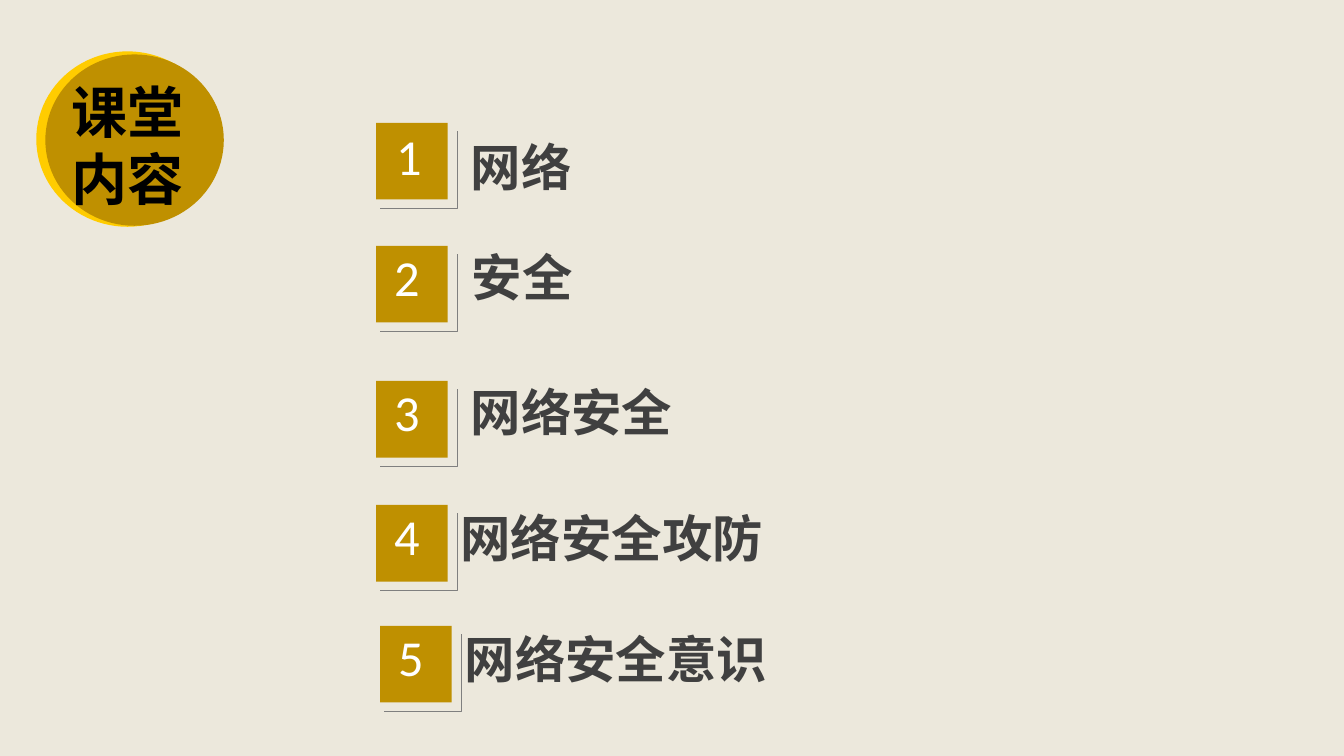
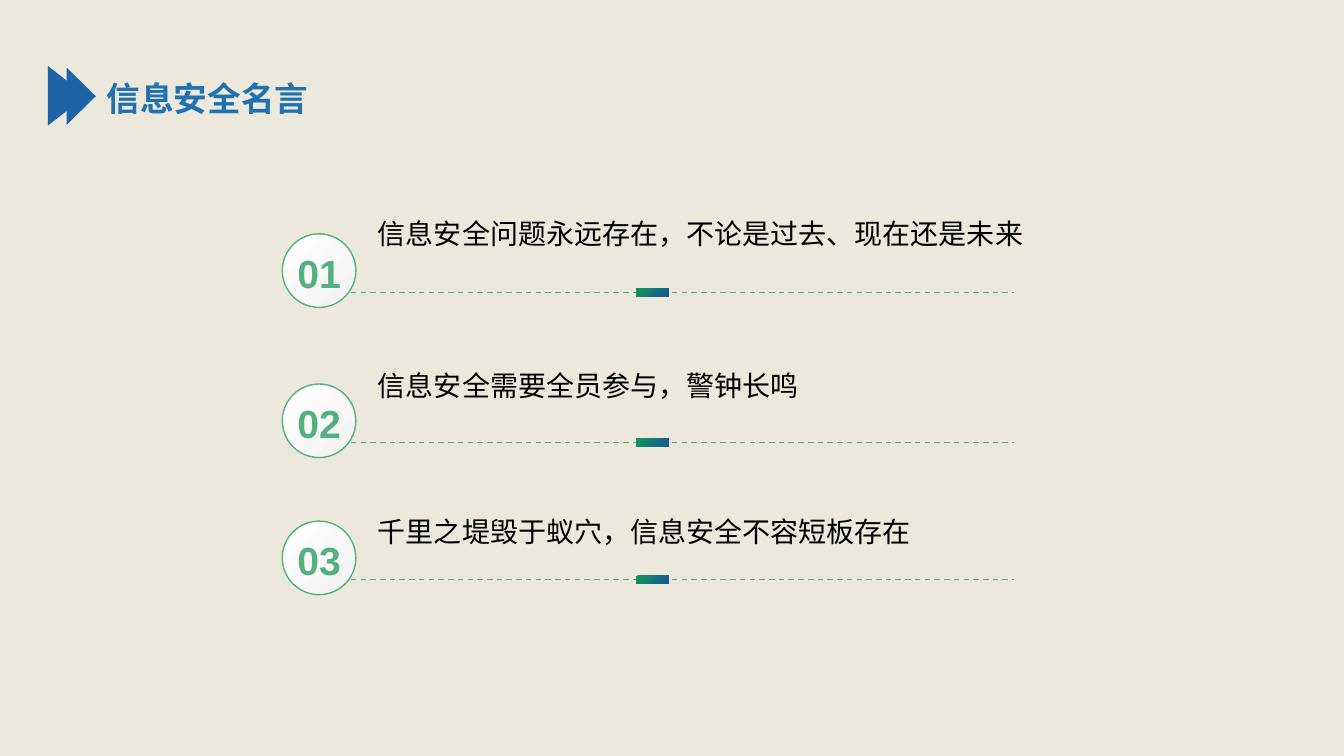
from lxml import etree
from pptx import Presentation
from pptx.dml.color import RGBColor
from pptx.enum.dml import MSO_LINE
from pptx.enum.shapes import MSO_CONNECTOR, MSO_SHAPE
from pptx.enum.text import MSO_ANCHOR, PP_ALIGN
from pptx.oxml.ns import qn
from pptx.util import Inches, Pt

RECTANGLE, ELLIPSE = MSO_SHAPE.RECTANGLE, MSO_SHAPE.OVAL
TRIANGLE = MSO_SHAPE.ISOSCELES_TRIANGLE
STRAIGHT, DASH = MSO_CONNECTOR.STRAIGHT, MSO_LINE.DASH
TOP, MIDDLE = MSO_ANCHOR.TOP, MSO_ANCHOR.MIDDLE
LEFT, CENTER = PP_ALIGN.LEFT, PP_ALIGN.CENTER

COLORS = {
    "background": "ECE8DC", "yellow": "FFCC00", "gold": "BF9000",
    "black": "000000", "white": "FFFFFF", "pale": "F2F2F2",
    "dark": "404040", "gray": "7F7F7F", "title": "2071B0",
    "arrow": "1D64A5", "green": "159857", "blue": "155798",
    "soft green": "55B07F",
}
CHINESE, DIGITS, BOLD_DIGITS = "Noto Sans CJK SC", "Calibri", "Arial"


def color(name):
    return RGBColor.from_string(COLORS[name])


class Deck:
    def __init__(self):
        self.presentation = Presentation()
        self.presentation.slide_width = Inches(13.33)
        self.presentation.slide_height = Inches(7.5)
        fill = self.presentation.slide_master.background.fill
        fill.solid()
        fill.fore_color.rgb = color("background")
        self.slide = None

    def add_slide(self):
        layout = self.presentation.slide_layouts[6]
        self.slide = self.presentation.slides.add_slide(layout)

    def shape(self, kind, left, top, width, height, fill, line=None, rotation=0):
        """Add a preset shape; a pair of colour names as fill makes a diagonal gradient."""
        shape = self.slide.shapes.add_shape(
            kind, Inches(left), Inches(top), Inches(width), Inches(height))
        shape.shadow.inherit = False
        shape.rotation = rotation
        if isinstance(fill, tuple):
            shape.fill.gradient()
            shape.fill.gradient_angle = 315
            for stop, name in zip(shape.fill.gradient_stops, fill):
                stop.color.rgb = color(name)
        else:
            shape.fill.solid()
            shape.fill.fore_color.rgb = color(fill)
        if line:
            shape.line.color.rgb = color(line)
            shape.line.width = Pt(1)
        else:
            shape.line.fill.background()

    def text(self, words, left, top, width, height, size, ink, font=CHINESE,
             bold=False, align=LEFT, anchor=MIDDLE, spacing=None):
        box = self.slide.shapes.add_textbox(
            Inches(left), Inches(top), Inches(width), Inches(height))
        frame = box.text_frame
        frame.word_wrap = True
        frame.vertical_anchor = anchor
        paragraph = frame.paragraphs[0]
        paragraph.alignment = align
        if spacing:
            paragraph.line_spacing = Pt(spacing)
        run = paragraph.add_run()
        run.text = words
        run.font.size = Pt(size)
        run.font.bold = bold
        run.font.color.rgb = color(ink)
        run.font.name = font
        if font == CHINESE:
            east_asian = etree.SubElement(run.font._element, qn("a:ea"))
            east_asian.set("typeface", font)

    def dashed_line(self, left, right, y):
        connector = self.slide.shapes.add_connector(
            STRAIGHT, Inches(left), Inches(y), Inches(right), Inches(y))
        connector.line.color.rgb = color("soft green")
        connector.line.width = Pt(1)
        connector.line.dash_style = DASH
        etree.SubElement(connector._element.spPr, qn("a:effectLst"))

    def corner(self, left, top, size):
        """Draw an open bottom-right corner."""
        right, bottom = Inches(left + size), Inches(top + size)
        builder = self.slide.shapes.build_freeform(Inches(left), bottom)
        builder.add_line_segments(
            [(right, bottom), (right, Inches(top))], close=False)
        shape = builder.convert_to_shape()
        shape.shadow.inherit = False
        shape.fill.background()
        shape.line.color.rgb = color("gray")
        shape.line.width = Pt(0.75)

    def agenda_item(self, number, label, left, top, label_left, label_top):
        self.shape(RECTANGLE, left, top, 0.71, 0.76, "gold")
        nudge = 0.02 if number == 1 else 0
        self.text(str(number), left + 0.08 + nudge, top - 0.05 + nudge,
                  0.59, 0.71, 36, "white", DIGITS, anchor=TOP)
        self.corner(left + 0.04, top + 0.08, 0.77)
        self.text(label, label_left, label_top, 3.5, 0.71, 36, "dark", bold=True)

    def quote(self, number, words, line_y, text_middle):
        self.dashed_line(3.48, 10.06, line_y)
        self.shape(ELLIPSE, 2.8, line_y - 0.58, 0.73, 0.73,
                   ("white", "pale"), "soft green")
        self.shape(RECTANGLE, 6.31, line_y - 0.04, 0.32, 0.08, ("green", "blue"))
        self.text(f"{number:02}", 2.69, line_y - 0.48, 0.95, 0.57, 28,
                  "soft green", BOLD_DIGITS, True, CENTER, TOP)
        self.text(words, 3.65, text_middle - 0.25, 6.9, 0.5, 20, "black")


def agenda_slide(deck):
    deck.add_slide()
    deck.shape(ELLIPSE, 0.36, 0.51, 1.81, 1.74, "yellow")
    deck.shape(ELLIPSE, 0.45, 0.54, 1.77, 1.7, "gold")
    deck.text("课堂内容", 0.61, 0.72, 1.7, 1.45, 40, "black",
              bold=True, anchor=TOP, spacing=48)
    items = [
        ("网络", 3.73, 1.22, 4.57, 1.29),
        ("安全", 3.73, 2.44, 4.58, 2.39),
        ("网络安全", 3.73, 3.78, 4.57, 3.73),
        ("网络安全攻防", 3.73, 5.01, 4.47, 4.98),
        ("网络安全意识", 3.77, 6.21, 4.51, 6.18),
    ]
    for number, item in enumerate(items, 1):
        deck.agenda_item(number, *item)


def quotes_slide(deck):
    deck.add_slide()
    deck.text("信息安全名言", 0.96, 0.72, 7.12, 0.5, 24, "title", bold=True)
    deck.shape(TRIANGLE, 0.37, 0.76, 0.59, 0.38, "arrow", rotation=90)
    deck.shape(TRIANGLE, 0.52, 0.81, 0.57, 0.29, "arrow", rotation=90)
    quotes = [
        ("信息安全问题永远存在，不论是过去、现在还是未来", 2.9, 2.31),
        ("信息安全需要全员参与，警钟长鸣", 4.39, 3.82),
        ("千里之堤毁于蚁穴，信息安全不容短板存在", 5.75, 5.27),
    ]
    for number, quote in enumerate(quotes, 1):
        deck.quote(number, *quote)


def main():
    deck = Deck()
    agenda_slide(deck)
    quotes_slide(deck)
    deck.presentation.save("out.pptx")


if __name__ == "__main__":
    main()
